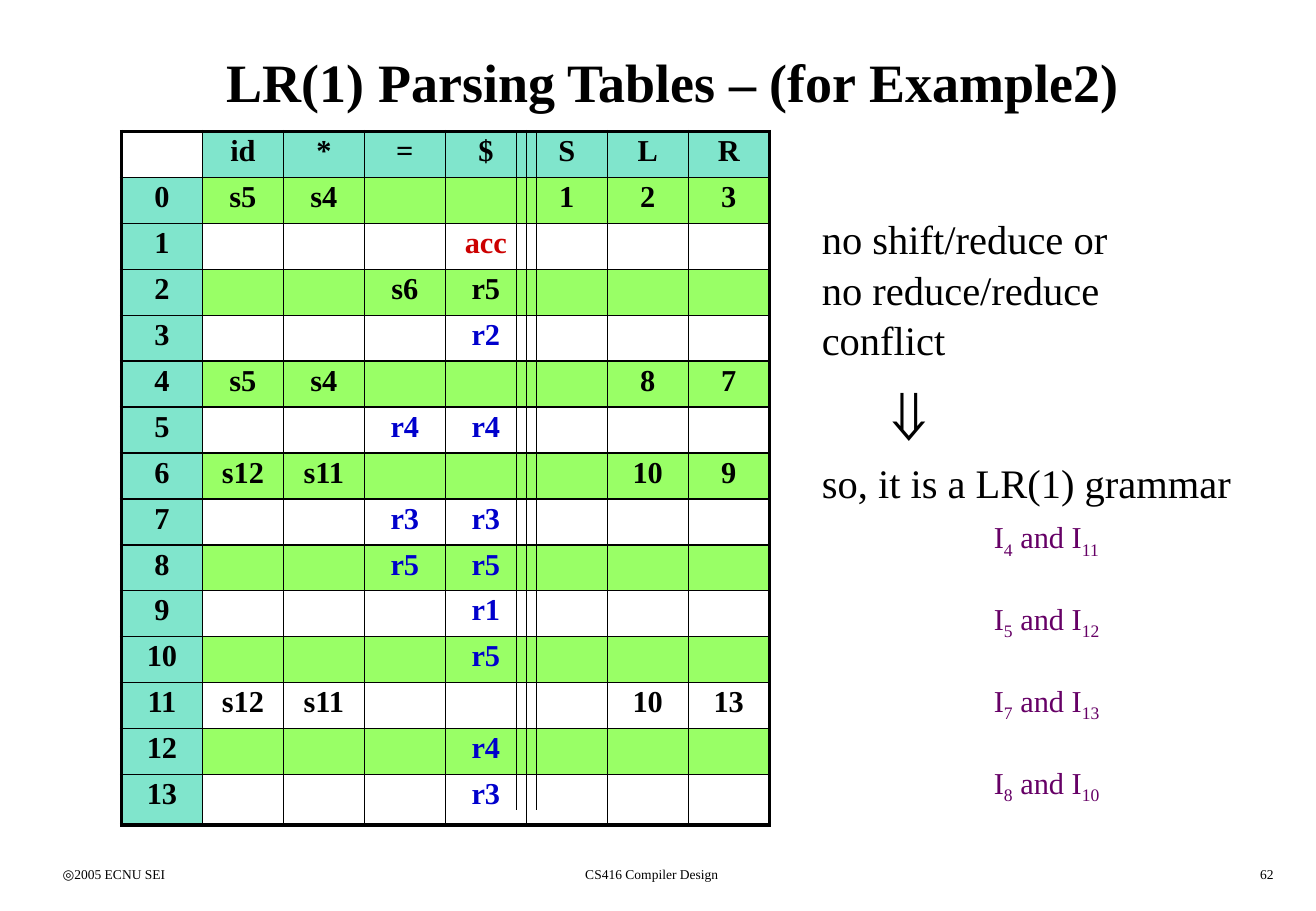
from lxml import etree
from pptx import Presentation
from pptx import util as u
from pptx.dml import color
from pptx.enum import shapes, text
from pptx.oxml import ns

UNIT = 1 / 6
COLS, ROWS = 65, 45
INK = {"black": "000000", "red": "CC0000", "blue": "0000CC",
       "plum": "660066", "teal": "80E5CC", "green": "99FF66"}
ALIGN = {"l": text.PP_ALIGN.LEFT, "c": text.PP_ALIGN.CENTER,
         "r": text.PP_ALIGN.RIGHT}
HEADS = ["", "id", "*", "=", "$", "S", "L", "R"]
MOVES = [
    "s5 s4 - - 1 2 3",
    "- - - acc - - -",
    "- - s6 r5 - - -",
    "- - - r2 - - -",
    "s5 s4 - - - 8 7",
    "- - r4 r4 - - -",
    "s12 s11 - - - 10 9",
    "- - r3 r3 - - -",
    "- - r5 r5 - - -",
    "- - - r1 - - -",
    "- - - r5 - - -",
    "s12 s11 - - - 10 13",
    "- - - r4 - - -",
    "- - - r3 - - -",
]
BLACK_MOVE = (3, 4)
PAIRS = [(4, 11), (5, 12), (7, 13), (8, 10)]


def grid(*vals):
    return [u.Inches(v * UNIT) for v in vals]


def rgb(name):
    return color.RGBColor.from_string(INK[name])


def apply(item, vals):
    for key, val in vals.items():
        setattr(item, key, val)


def write(para, words, size, ink="black", bold=False, sub=False):
    run = para.add_run()
    run.text = words
    apply(run.font, {"name": "Times New Roman", "size": u.Pt(size),
                     "bold": bold})
    run.font.color.rgb = rgb(ink)
    if sub:
        run._r.get_or_add_rPr().set("baseline", "-25000")


def frame(slide, place):
    body = slide.shapes.add_textbox(*grid(*place)).text_frame
    body.word_wrap = True
    return body


def label(slide, place, words, size, side="l", bold=False):
    body = frame(slide, place)
    body.vertical_anchor = text.MSO_ANCHOR.MIDDLE if bold else text.MSO_ANCHOR.TOP
    para = body.paragraphs[0]
    para.alignment = ALIGN[side]
    write(para, words, size, bold=bold)


def edge(cell, widths):
    props = cell._tc.get_or_add_tcPr()
    for spot, (tag, width) in enumerate(widths.items()):
        line = etree.Element(ns.qn("a:" + tag), w=str(u.Pt(width)))
        fill = etree.SubElement(line, ns.qn("a:solidFill"))
        etree.SubElement(fill, ns.qn("a:srgbClr"), val=INK["black"])
        props.insert(spot, line)


def shade(cell, row, col):
    if row and col and row % 2 == 0 or row == col == 0:
        cell.fill.background()
        return
    cell.fill.solid()
    cell.fill.fore_color.rgb = rgb("green" if row and col else "teal")


def tone(word, row, col):
    if word == "acc":
        return "red"
    if row and word.startswith("r") and (row, col) != BLACK_MOVE:
        return "blue"
    return "black"


def fill_cell(cell, word, row, col):
    shade(cell, row, col)
    if word:
        para = cell.text_frame.paragraphs[0]
        apply(para, {"alignment": ALIGN["c"], "line_spacing": 0.9})
        write(para, word, 18, tone(word, row, col), True)
    else:
        apply(cell, {"margin_top": 0, "margin_bottom": 0})


def parse_table(slide):
    lines = [HEADS]
    for state, moves in enumerate(MOVES):
        words = ["" if w == "-" else w for w in moves.split()]
        lines.append([str(state)] + words)
    last, end = len(lines) - 1, len(HEADS) - 1
    place = grid(6, 6.5, 32, 34.28)
    table = slide.shapes.add_table(last + 1, end + 1, *place).table
    apply(table, {"first_row": False, "horz_banding": False})
    for col in table.columns:
        col.width = grid(4)[0]
    for row, words in enumerate(lines):
        table.rows[row].height = grid(2.5 if row == last else 2.27)[0]
        for col, word in enumerate(words):
            cell = table.cell(row, col)
            fill_cell(cell, word, row, col)
            outer = {"lnL": col == 0, "lnR": col == end,
                     "lnT": row == 0, "lnB": row == last}
            edge(cell, {k: 2.25 if v else 1 for k, v in outer.items()})


def rule(slide, col):
    line = slide.shapes.add_connector(
        shapes.MSO_CONNECTOR.STRAIGHT, *grid(col, 6.5, col, 40))
    line.line.width = u.Pt(0.75)
    line.line.color.rgb = rgb("black")
    etree.SubElement(line._element.spPr, ns.qn("a:effectLst"))


def notes(slide):
    body = frame(slide, (40, 10.2, 22, 12.2))
    items = [("no shift/reduce or", 24),
             ("no reduce/reduce\vconflict", 24),
             ("\t⇓", 44),
             ("so, it is a LR(1) grammar", 24)]
    for spot, (words, size) in enumerate(items):
        para = body.add_paragraph() if spot else body.paragraphs[0]
        para.line_spacing = 1.04
        for turn, part in enumerate(words.split("\v")):
            if turn:
                para.add_line_break()
            write(para, part, size)


def pairs(slide):
    body = frame(slide, (48.5, 25.3, 8, 12.6))
    for spot, (left, right) in enumerate(PAIRS):
        para = body.add_paragraph() if spot else body.paragraphs[0]
        if spot:
            para.space_before = u.Pt(24)
        for words, sub in (("I", False), (str(left), True),
                           (" and I", False), (str(right), True)):
            write(para, words, 18, "plum", sub=sub)


def main():
    deck = Presentation()
    deck.slide_width, deck.slide_height = grid(COLS, ROWS)
    slide = deck.slides.add_slide(deck.slide_layouts[6])
    label(slide, (2.5, 42.5, 13.5, 1.5), "◎2005 ECNU SEI", 8)
    label(slide, (20, 42.5, 24.4, 1.5), "CS416 Compiler Design", 8, "c")
    label(slide, (50, 42.5, 13.5, 1.5), "62", 8, "r")
    label(slide, (2.5, 1, 61.5, 6),
          "LR(1) Parsing Tables – (for Example2)", 32, "c", True)
    parse_table(slide)
    for col in (25.5, 26.5):
        rule(slide, col)
    notes(slide)
    pairs(slide)
    deck.save("out.pptx")


if __name__ == "__main__":
    main()
